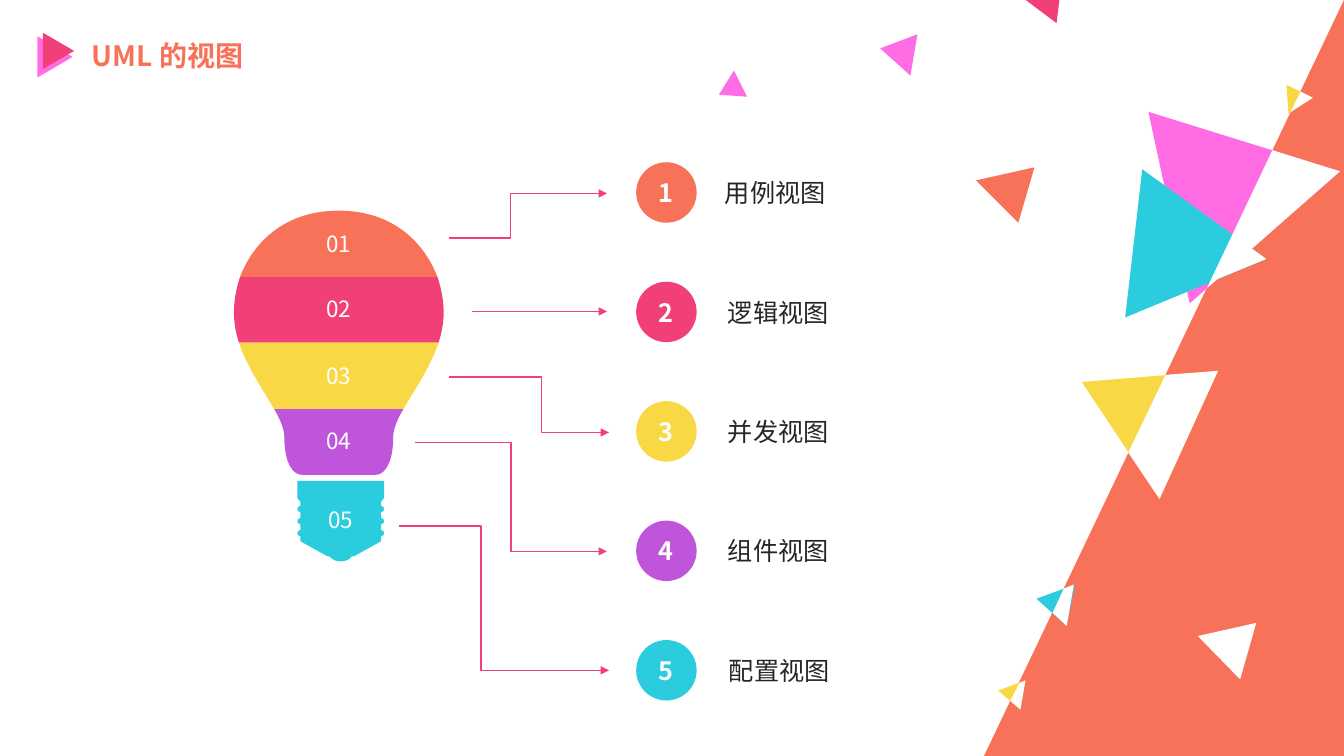
import pptx
import pptx.util
import pptx.dml.color
import pptx.enum.shapes
import pptx.enum.text
import pptx.oxml
import pptx.oxml.ns
from lxml import etree

Inches = pptx.util.Inches
RGB = pptx.dml.color.RGBColor
KIND = pptx.enum.shapes.MSO_SHAPE
LINK = pptx.enum.shapes.MSO_CONNECTOR
ALIGN = pptx.enum.text.PP_ALIGN
qn = pptx.oxml.ns.qn

FONT = "Noto Sans CJK SC"
CORAL = RGB(0xF7, 0x72, 0x58)
ROSE = RGB(0xF0, 0x40, 0x77)
GOLD = RGB(0xF8, 0xD8, 0x45)
PLUM = RGB(0xBF, 0x55, 0xDB)
CYAN = RGB(0x2C, 0xCC, 0xDF)
PINK = RGB(0xFF, 0x6C, 0xE4)
WHITE = RGB(0xFF, 0xFF, 0xFF)
INK = RGB(0x26, 0x26, 0x26)
HUES = [CORAL, ROSE, GOLD, PLUM, CYAN]


def paint(shape, color):
    shape.shadow.inherit = False
    shape.fill.solid()
    shape.fill.fore_color.rgb = color
    shape.line.fill.background()
    return shape


def write(shape, text, size, color, bold=False, align=ALIGN.LEFT):
    frame = shape.text_frame
    frame.word_wrap = True
    frame.vertical_anchor = pptx.enum.text.MSO_ANCHOR.MIDDLE
    para = frame.paragraphs[0]
    para.text = text
    para.alignment = align
    font = para.font
    font.size = pptx.util.Pt(size)
    font.bold = bold
    font.color.rgb = color
    font.name = FONT
    style = para._p.find(qn("a:pPr")).find(qn("a:defRPr"))
    etree.SubElement(style, qn("a:ea")).set("typeface", FONT)
    return frame


def preset(slide, kind, left, top, width, height, color):
    box = map(Inches, (left, top, width, height))
    return paint(slide.shapes.add_shape(kind, *box), color)


def label(slide, left, top, width, height, *style):
    box = slide.shapes.add_textbox(*map(Inches, (left, top, width, height)))
    return write(box, *style)


def outline(slide, left, top, points, color):
    spots = [(Inches(x), Inches(y)) for x, y in points]
    pen = slide.shapes.build_freeform(*spots[0])
    pen.add_line_segments(spots[1:], close=True)
    return paint(pen.convert_to_shape(Inches(left), Inches(top)), color)


def mirror(slide, left, top, axis, steps, color):
    """Draw a half outline and its reflection; six numbers make a curve."""
    half = [step[i:i + 2] for step in steps for i in range(0, len(step), 2)]
    other = [(2 * axis - x, y) for x, y in reversed(half)]
    shape = outline(slide, left, top, half + other, color)
    sizes = [len(step) // 2 for step in steps[1:]]
    lines = list(shape._element.iter(qn("a:lnTo")))
    for size in sizes + [1] + sizes[::-1]:
        group, lines = lines[:size], lines[size:]
        if size == 3:
            curve = etree.Element(qn("a:cubicBezTo"))
            group[0].addprevious(curve)
            for line in group:
                curve.append(line[0])
                line.getparent().remove(line)


def header(slide, left, top):
    for x, y, width, height, color in [(0, 0.06, 0.41, 0.35, PINK),
                                       (0.06, 0.02, 0.36, 0.31, ROSE)]:
        mark = preset(slide, KIND.ISOSCELES_TRIANGLE, left + x, top + y,
                      width, height, color)
        mark.rotation = 90
    label(slide, left + 0.47, top, 2.22, 0.44, "UML 的视图", 20, CORAL, True)


def bulb(slide, left, top):
    # Left half of each part; the right half mirrors it
    screw = [(0.63, 2.68), (0.63, 2.85), (0.66, 2.89)]
    for y in (2.93, 3.05, 3.17):
        screw += [(0.66, y),
                  (0.64, y, 0.63, y + 0.01, 0.63, y + 0.03),
                  (0.63, y + 0.05, 0.64, y + 0.06, 0.66, y + 0.06)]
    screw += [(0.66, 3.28), (0.93, 3.43), (0.95, 3.43),
              (0.97, 3.46, 1.01, 3.48, 1.06, 3.48)]
    # Axis, label centre, half outline
    parts = [
        (1.04, 0.33, [(1.04, 0), (0.5, 0, 0.19, 0.32, 0.06, 0.66)]),
        (1.04, 0.98, [(0.06, 0.66), (0.02, 0.78, 0, 0.9, 0, 1.01),
                      (0, 1.12, 0.02, 1.21, 0.05, 1.31)]),
        (1.04, 1.64, [(0.05, 1.31), (0.13, 1.55, 0.29, 1.78, 0.4, 1.97)]),
        (1.04, 2.29, [(0.4, 1.97), (0.46, 2.07, 0.5, 2.17, 0.5, 2.24),
                      (0.5, 2.53, 0.6, 2.62, 0.67, 2.62)]),
        (1.06, 3.07, screw),
    ]
    for i, (axis, mid, steps) in enumerate(parts):
        mirror(slide, left, top, axis, steps, HUES[i])
        frame = label(slide, left + axis - 0.13, top + mid - 0.14, 0.26, 0.27,
                      f"0{i + 1}", 16, WHITE, False, ALIGN.CENTER)
        frame.word_wrap = False
        frame.margin_left = frame.margin_right = 0
        frame.margin_top = frame.margin_bottom = 0


def arrow(slide, left, top, start, end, bend):
    kind = LINK.ELBOW if bend else LINK.STRAIGHT
    ends = [left + start[0], top + start[1], left + end[0], top + end[1]]
    line = slide.shapes.add_connector(kind, *map(Inches, ends))
    line.line.color.rgb = ROSE
    line.line.width = pptx.util.Pt(1)
    props = line._element.spPr
    etree.SubElement(props.find(qn("a:ln")),
                     qn("a:tailEnd")).set("type", "triangle")
    etree.SubElement(props, qn("a:effectLst"))
    if bend:
        geom = props.find(qn("a:prstGeom"))
        guide = etree.SubElement(geom.find(qn("a:avLst")), qn("a:gd"))
        guide.set("name", "adj1")
        guide.set("fmla", f"val {round(bend * 100000)}")


def views(slide, left, top):
    # Name, name offset, arrow start, arrow end, bend
    rows = [
        ("用例视图", 3.13, (0.49, 0.75), (2.06, 0.31), 0.39),
        ("逻辑视图", 3.16, (0.72, 1.48), (2.06, 1.48), None),
        ("并发视图", 3.16, (0.49, 2.13), (2.08, 2.68), 0.58),
        ("组件视图", 3.16, (0.16, 2.78), (2.06, 3.86), 0.5),
        ("配置视图", 3.17, (0, 3.61), (2.08, 5.04), 0.39),
    ]
    pitch = 1.185
    for i, (name, x, start, end, bend) in enumerate(rows):
        y = top + i * pitch
        arrow(slide, left, top, start, end, bend)
        disc = preset(slide, KIND.OVAL, left + 2.35, y, 0.6, 0.6, HUES[i])
        write(disc, str(i + 1), 18, WHITE, True, ALIGN.CENTER)
        label(slide, left + x, y + 0.1, 3.91, 0.4, name, 18, INK)


def decor(slide, left, top, width, height):
    slope = preset(slide, KIND.ISOSCELES_TRIANGLE, left + width - 3.57, top,
                   3.57, height, CORAL)
    slope.adjustments[0] = 1
    # Coloured shards, then the white parts that cross the slope
    shards = [
        (CORAL, [(10.26, 1.66), (10.1, 2.21), (9.68, 1.79)]),
        (PINK, [(11.8, 3.01), (11.39, 1.11), (13.29, 1.7)]),
        (CYAN, [(11.16, 3.15), (11.33, 1.68), (12.56, 2.57)]),
        (CYAN, [(10.28, 5.94), (10.66, 5.8), (10.58, 6.21)]),
        (GOLD, [(9.9, 6.85), (10.17, 6.75), (10.12, 7.04)]),
        (GOLD, [(10.73, 3.79), (12.08, 3.68), (11.5, 4.95)]),
        (GOLD, [(12.78, 1.13), (12.76, 0.84), (13.02, 0.97)]),
        (PINK, [(8.73, 0.48), (9.1, 0.34), (9.03, 0.75)]),
        (ROSE, [(10.48, 0.23), (10.16, -0.01), (10.53, -0.17)]),
        (PINK, [(7.13, 0.94), (7.28, 0.7), (7.41, 0.96)]),
        (WHITE, [(12.46, 6.18), (12.3, 6.74), (11.88, 6.31)]),
        (WHITE, [(12.62, 1.49), (13.29, 1.7), (11.97, 2.86)]),
        (WHITE, [(12.23, 2.33), (12.56, 2.57), (12, 2.8)]),
        (WHITE, [(10.65, 5.8), (10.58, 6.21), (10.44, 6.08), (10.55, 5.84)]),
        (WHITE, [(10.17, 6.75), (10.12, 7.04), (10.02, 6.95), (10.11, 6.78)]),
        (WHITE, [(12.08, 3.68), (11.5, 4.95), (11.19, 4.49), (11.56, 3.72)]),
        (WHITE, [(12.9, 0.91), (13.02, 0.97), (12.8, 1.11)]),
    ]
    for color, points in shards:
        outline(slide, left, top, points, color)


def main():
    deck = pptx.Presentation()
    deck.slide_width = Inches(13.33)
    deck.slide_height = Inches(7.5)
    slide = deck.slides.add_slide(deck.slide_layouts[6])
    header(slide, 0.34, 0.33)
    bulb(slide, 2.32, 2.09)
    views(slide, 3.96, 1.61)
    decor(slide, 0, 0, 13.33, 7.5)
    deck.save("out.pptx")


if __name__ == "__main__":
    main()
